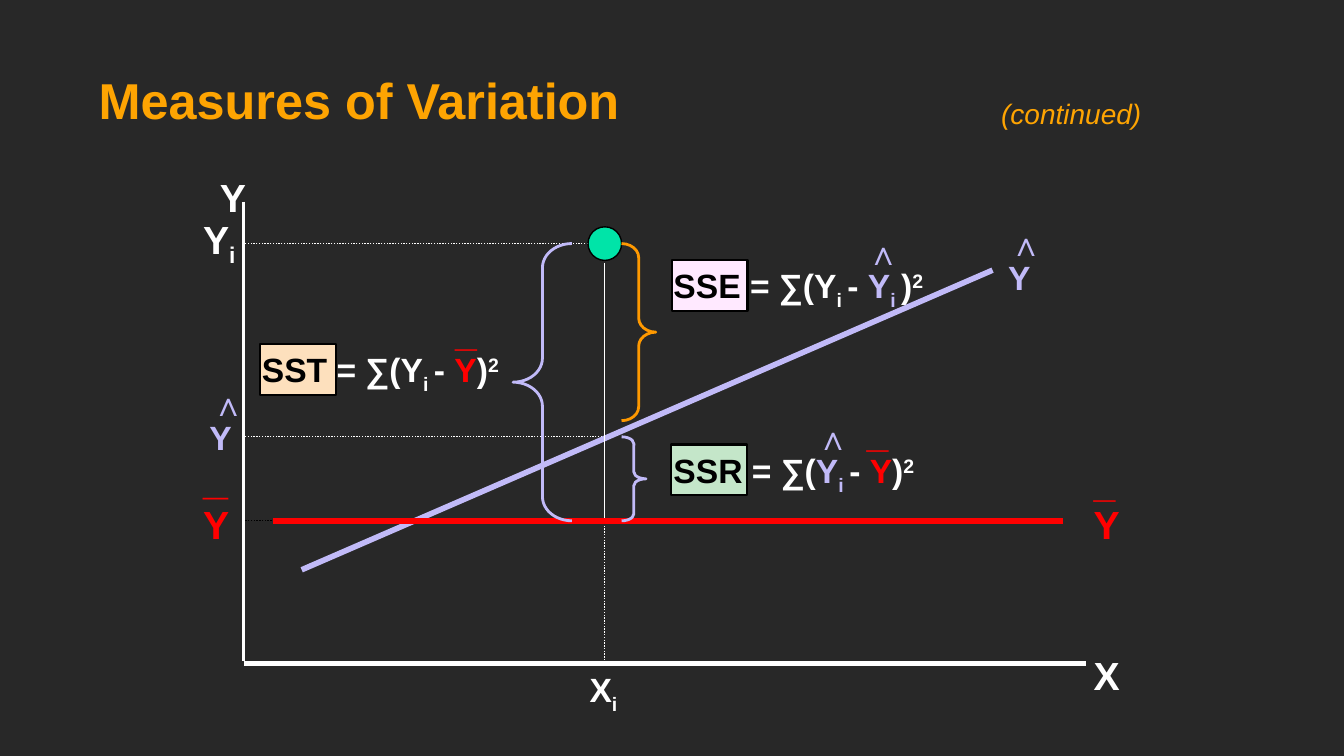
from lxml.etree import SubElement
from pptx import Presentation
from pptx.dml.color import RGBColor
from pptx.enum.dml import MSO_LINE
from pptx.enum.shapes import MSO_CONNECTOR, MSO_SHAPE
from pptx.enum.text import MSO_ANCHOR
from pptx.oxml.ns import qn
from pptx.util import Pt

BACKGROUND = RGBColor(0x28, 0x28, 0x28)
GOLD = RGBColor(0xFE, 0xA4, 0x02)
ORANGE = RGBColor(0xFF, 0x99, 0x00)
WHITE = RGBColor(0xFF, 0xFF, 0xFF)
BLACK = RGBColor(0, 0, 0)
RED = RGBColor(0xFF, 0, 0)
LILAC = RGBColor(0xC1, 0xBA, 0xF8)
GREEN = RGBColor(0x00, 0xE4, 0xA8)
PINK = RGBColor(0xFF, 0xE9, 0xFF)
PEACH = RGBColor(0xFD, 0xE0, 0xBD)
MINT = RGBColor(0xC4, 0xE6, 0xC9)
FONT = "Arial"
SUB, SUPER = -25000, 30000

# Key positions of the diagram, in points
AXIS_X, AXIS_Y = 174, 474
POINT_X, POINT_Y = 432, 174
FITTED_Y, MEAN_Y = 312, 372

# Lines: x1, y1, x2, y2, colour, width, dotted
GUIDES = [
    (198, MEAN_Y, AXIS_X, MEAN_Y, BLACK, 1, True),
    (426, POINT_Y, AXIS_X, POINT_Y, WHITE, 1, True),
    (POINT_X, FITTED_Y, AXIS_X, FITTED_Y, WHITE, 1, True),
    (POINT_X, MEAN_Y + 1.5, POINT_X, AXIS_Y - 2, WHITE, 1, True),
]
MAIN_LINES = [
    (AXIS_X, 144, AXIS_X, AXIS_Y - 2, WHITE, 2, False),
    (AXIS_X, AXIS_Y, 775.5, AXIS_Y, WHITE, 4, False),
    (215.5, 407, 709, 193, LILAC, 4, False),
    (POINT_X, 188, POINT_X, MEAN_Y - 1, WHITE, 1, False),
    (195, MEAN_Y, 759.5, MEAN_Y, RED, 4.5, False),
]

# Braces: preset, left, top, width, bottom, curl, colour
BRACES = [
    (MSO_SHAPE.LEFT_BRACE, 366.5, POINT_Y, 42, MEAN_Y, 0.41, LILAC),
    (MSO_SHAPE.RIGHT_BRACE, 444, POINT_Y, 24.5, 300.5, 0.41, ORANGE),
    (MSO_SHAPE.RIGHT_BRACE, 444, FITTED_Y, 17.5, MEAN_Y, 0.28, LILAC),
]

# Formulas: box left, box top, fill, text left, text top, runs
FORMULAS = [
    (186, 246, PEACH, 180, 246,
     [("SST ", BLACK, 0), ("= ∑(Y", WHITE, 0), ("i ", WHITE, SUB), ("- ", WHITE, 0),
      ("Y", RED, 0), (")", WHITE, 0), ("2", WHITE, SUPER)]),
    (480, 186, PINK, 474, 186,
     [("SSE ", BLACK, 0), ("= ∑(Y", WHITE, 0), ("i ", WHITE, SUB), ("- ", WHITE, 0),
      ("Y", LILAC, 0), ("i ", LILAC, SUB), (")", WHITE, 0), ("2", WHITE, SUPER)]),
    (479.5, 317.5, MINT, 474, 318,
     [("SSR ", BLACK, 0), ("= ∑(", WHITE, 0), ("Y", LILAC, 0), ("i ", LILAC, SUB),
      ("- ", WHITE, 0), ("Y", RED, 0), (")", WHITE, 0), ("2", WHITE, SUPER)]),
]

# Labels: left, top, size, runs
LABELS = [
    (150, 120, 28, [("Y", WHITE, 0)]),
    (138, 150, 28, [("Y", WHITE, 0), ("i", WHITE, SUB)]),
    (774, 462, 28, [("X", WHITE, 0)]),
    (414, 474.5, 24, [("X", WHITE, 0), ("i", WHITE, SUB)]),
    (774, 354, 28, [("Y", RED, 0)]),
    (138, 354, 28, [("Y", RED, 0)]),
    (713, 180, 24, [("Y", LILAC, 0)]),
    (142.5, 294, 24, [("Y", LILAC, 0)]),
]
HATS = [(612, 162), (576, 294), (714, 156), (144, 270)]
BARS = [(774, 324, 28), (612, 288, 28), (318, 216, 28), (138, 318, 32)]
LABELS += [(left, top, 24, [("∧", LILAC, 0)]) for left, top in HATS]
LABELS += [(left, top, size, [("_", RED, 0)]) for left, top, size in BARS]

presentation = Presentation()
presentation.slide_width, presentation.slide_height = Pt(960), Pt(540)
slide = presentation.slides.add_slide(presentation.slide_layouts[5])
slide.background.fill.solid()
slide.background.fill.fore_color.rgb = BACKGROUND


def add_run(paragraph, text, size, color, baseline=0, bold=True, italic=False):
    run = paragraph.add_run()
    run.text = text
    font = run.font
    font.name, font.size, font.bold, font.italic = FONT, Pt(size), bold, italic
    font.color.rgb = color
    if baseline:
        font._element.set("baseline", str(baseline))


def add_text(left, top, width, height):
    frame = slide.shapes.add_textbox(Pt(left), Pt(top), Pt(width), Pt(height)).text_frame
    frame.word_wrap = True
    return frame.paragraphs[0]


def add_line(x1, y1, x2, y2, color, width, dotted):
    connector = slide.shapes.add_connector(
        MSO_CONNECTOR.STRAIGHT, Pt(x1), Pt(y1), Pt(x2), Pt(y2))
    connector.line.color.rgb, connector.line.width = color, Pt(width)
    if dotted:
        connector.line.dash_style = MSO_LINE.ROUND_DOT
    SubElement(connector._element.spPr, qn("a:effectLst"))


def add_preset(preset, left, top, width, height, fill, line_color, line_width):
    shape = slide.shapes.add_shape(preset, Pt(left), Pt(top), Pt(width), Pt(height))
    shape.shadow.inherit = False
    if fill is None:
        shape.fill.background()
    else:
        shape.fill.solid()
        shape.fill.fore_color.rgb = fill
    shape.line.color.rgb, shape.line.width = line_color, Pt(line_width)
    return shape


# Title and continuation mark
title = slide.shapes.title
title.left, title.top, title.width, title.height = Pt(64), Pt(18), Pt(832), Pt(78)
title_frame = title.text_frame
title_frame.vertical_anchor = MSO_ANCHOR.BOTTOM
title_frame.margin_left = title_frame.margin_right = Pt(6.5)
title_paragraph = title_frame.paragraphs[0]
title_paragraph.alignment = 1
add_run(title_paragraph, "Measures of Variation", 36, GOLD)
add_run(add_text(708, 65.5, 120, 31), "(continued)", 20, GOLD, bold=False, italic=True)

# Guides, axes, regression line and mean line
for line in GUIDES + MAIN_LINES:
    add_line(*line)

# Observed point
add_preset(MSO_SHAPE.OVAL, POINT_X - 12, POINT_Y - 12, 24, 24, GREEN, BLACK, 1)

# Braces marking each deviation
for preset, left, top, width, bottom, curl, color in BRACES:
    brace = add_preset(preset, left, top, width, bottom - top, None, color, 2)
    brace.adjustments[0] = curl

# Formulas with highlighted names
for box_left, box_top, fill, left, top, runs in FORMULAS:
    add_preset(MSO_SHAPE.RECTANGLE, box_left, box_top, 54, 36, fill, BLACK, 1.5)
    paragraph = add_text(left, top, 210, 36)
    for text, color, baseline in runs:
        add_run(paragraph, text, 24, color, baseline)

# Axis labels, hats and bars
for left, top, size, runs in LABELS:
    paragraph = add_text(left, top, 60, size + 12)
    for text, color, baseline in runs:
        add_run(paragraph, text, size, color, baseline)

presentation.save("out.pptx")
